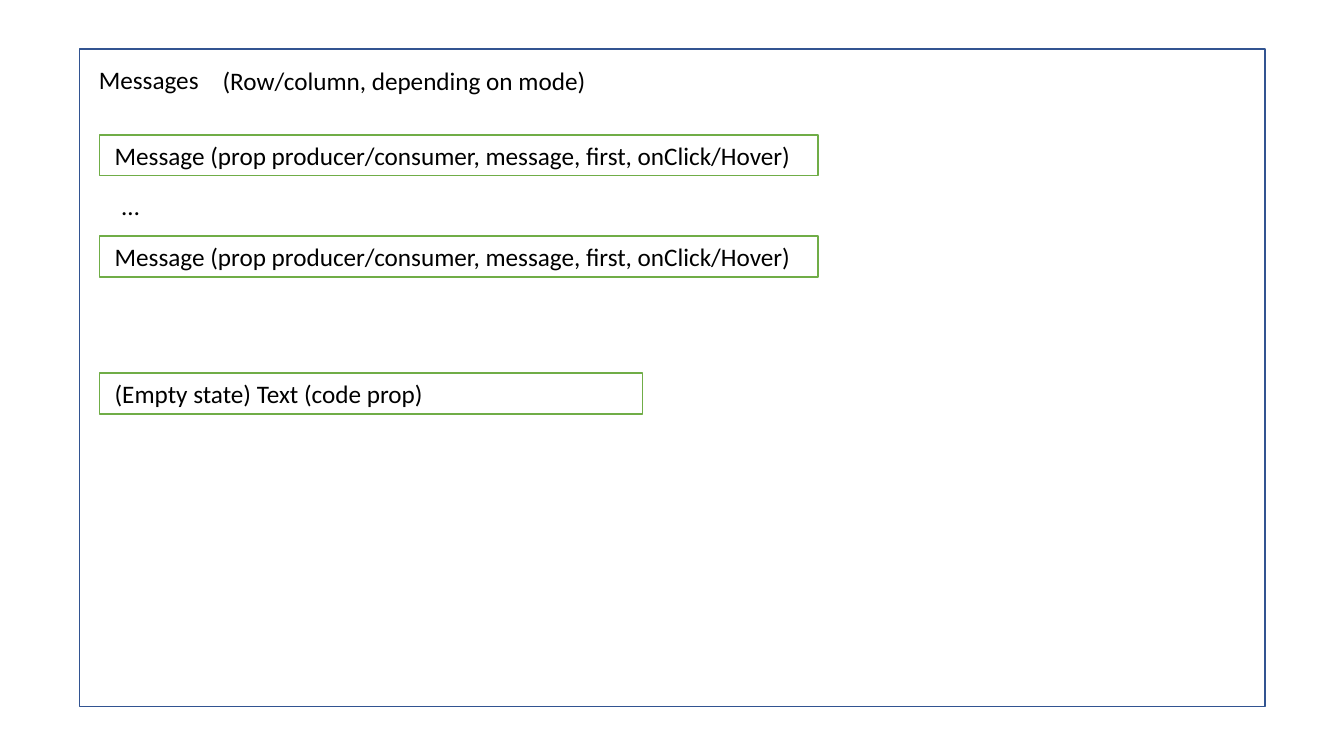
from pptx import Presentation
from pptx.dml.color import RGBColor
from pptx.enum.shapes import MSO_SHAPE
from pptx.enum.text import MSO_AUTO_SIZE
from pptx.util import Cm, Pt

BLACK = RGBColor(0x00, 0x00, 0x00)
BLUE = RGBColor(0x32, 0x54, 0x91)
GREEN = RGBColor(0x70, 0xAD, 0x47)

ROW_LEFT = 2.51
ROW_HEIGHT = 1.03
LABEL_INSET = 0.13
MESSAGE = "Message (prop producer/consumer, message, first, onClick/Hover)"

prs = Presentation()
prs.slide_width, prs.slide_height = Cm(33.87), Cm(19.05)
slide = prs.slides.add_slide(prs.slide_layouts[6])


def add_frame(left, top, width, height, color):
    """Draw an unfilled rectangle with a thin outline; lengths in cm."""
    frame = slide.shapes.add_shape(
        MSO_SHAPE.RECTANGLE, Cm(left), Cm(top), Cm(width), Cm(height))
    frame.shadow.inherit = False
    frame.fill.background()
    frame.line.color.rgb = color
    frame.line.width = Pt(1)


def add_label(text, left, top, width, wrap=False):
    """Add one line of 18 pt black text; lengths in cm."""
    box = slide.shapes.add_textbox(Cm(left), Cm(top), Cm(width), Cm(ROW_HEIGHT))
    box.text_frame.word_wrap = wrap
    box.text_frame.auto_size = MSO_AUTO_SIZE.SHAPE_TO_FIT_TEXT
    run = box.text_frame.paragraphs[0].add_run()
    run.text = text
    run.font.name = "Calibri"
    run.font.size = Pt(18)
    run.font.color.rgb = BLACK


# Messages container and its heading
add_frame(2.01, 1.24, 29.87, 16.56, BLUE)
add_label("Messages", 2.24, 1.5, 3.05)
add_label("(Row/column, depending on mode)", 5.36, 1.52, 9.78)

# Child components: text, top, frame width, label width, wrap
components = [
    (MESSAGE, 3.4, 18.11, 17.75, True),
    (MESSAGE, 5.95, 18.11, 17.75, True),
    ("(Empty state) Text (code prop)", 9.4, 13.69, 8.38, False),
]
for text, top, frame_width, label_width, wrap in components:
    add_frame(ROW_LEFT, top, frame_width, ROW_HEIGHT, GREEN)
    add_label(text, ROW_LEFT + LABEL_INSET, top, label_width, wrap)

# More messages between the first and the last
add_label("…", 2.82, 4.67, 0.97)

prs.save("out.pptx")
